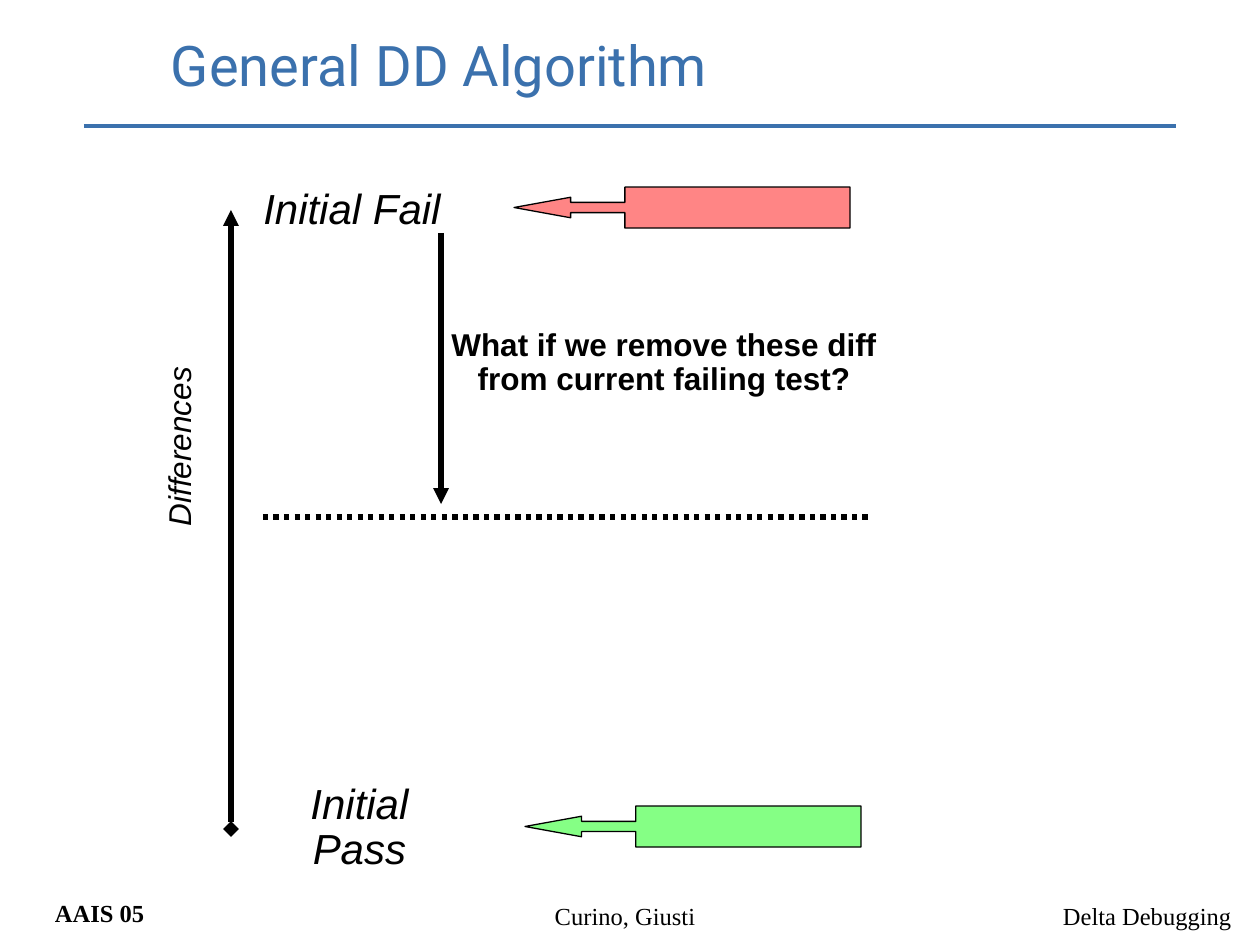
from dataclasses import dataclass
from typing import Optional

from lxml.etree import SubElement
from pptx import Presentation
from pptx.dml.color import RGBColor as RGB
from pptx.enum.dml import MSO_LINE as Dash
from pptx.enum.shapes import MSO_CONNECTOR as Link, MSO_SHAPE as Kind
from pptx.enum.text import MSO_ANCHOR as Anchor, PP_ALIGN as Align
from pptx.oxml.ns import qn
from pptx.util import Emu, Pt

DPI = 126


def px(n: int) -> Emu:
    return Emu(round(n * 914400 / DPI))


# Colours, fonts and type sizes
@dataclass(frozen=True)
class Theme:
    blue: RGB = RGB(0x3B, 0x71, 0xAD)
    black: RGB = RGB(0, 0, 0)
    red: RGB = RGB(0xFF, 0, 0)
    green: RGB = RGB(0, 0xFF, 0)
    alpha: int = 48
    head: str = "Roboto"
    sans: str = "Arial"
    serif: str = "Times New Roman"
    title: int = 32
    state: int = 24
    note: int = 18
    foot: int = 14


T = Theme()


@dataclass(frozen=True)
class Label:
    text: str
    box: tuple[int, int, int, int]
    size: int
    font: str = T.sans
    color: RGB = T.black
    bold: bool = False
    slant: bool = False
    align: Align = Align.CENTER
    anchor: Anchor = Anchor.MIDDLE
    pad: tuple[int, int] = (0, 0)
    wrap: bool = False
    space: float = 0.9
    turn: int = 0


@dataclass(frozen=True)
class Rule:
    start: tuple[int, int]
    end: tuple[int, int]
    width: int = 3
    color: RGB = T.black
    dash: Optional[Dash] = None
    head: str = ""
    tail: str = ""


@dataclass(frozen=True)
class Callout:
    left: int
    top: int
    color: RGB


def footer(text: str, left: int, top: int, width: int,
           align: Align = Align.LEFT, bold: bool = False) -> Label:
    return Label(text, (left, top, width, 62), T.foot, T.serif, bold=bold,
                 align=align, anchor=Anchor.TOP, pad=(13, 6), wrap=True, space=1.0)


LABELS = [
    footer("Delta Debugging", 1050, 895, 262),
    footer("AAIS 05", 42, 892, 262, bold=True),
    footer("Curino, Giusti", 231, 895, 788, Align.CENTER),
    Label("General DD Algorithm", (158, 10, 914, 116), T.title, T.head, T.blue,
          align=Align.LEFT, pad=(13, 6), wrap=True),
    Label("Initial Fail", (263, 188, 178, 45), T.state, slant=True),
    Label("Initial Pass", (258, 806, 203, 45), T.state, slant=True),
    Label("Differences", (101, 430, 160, 34), T.note, slant=True,
          align=Align.RIGHT, turn=270),
    Label("What if we remove these diff\nfrom current failing test?",
          (451, 329, 426, 68), T.note, bold=True),
]

RULES = [
    Rule((84, 126), (1176, 126), 2, T.blue),
    Rule((231, 210), (231, 829), head="triangle", tail="diamond"),
    Rule((263, 517), (872, 517), dash=Dash.ROUND_DOT),
    Rule((441, 233), (441, 504), tail="triangle"),
]

CALLS = [Callout(514, 187, T.red), Callout(525, 806, T.green)]


def write(slide, item: Label) -> None:
    box = slide.shapes.add_textbox(*map(px, item.box))
    box.rotation = item.turn
    frame = box.text_frame
    frame.word_wrap = item.wrap
    frame.vertical_anchor = item.anchor
    frame.margin_left = frame.margin_right = px(item.pad[0])
    frame.margin_top = frame.margin_bottom = px(item.pad[1])
    frame.text = item.text
    for para in frame.paragraphs:
        para.alignment = item.align
        para.line_spacing = item.space
        font = para.font
        font.name, font.size = item.font, Pt(item.size)
        font.bold, font.italic = item.bold, item.slant
        font.color.rgb = item.color


def rule(slide, item: Rule) -> None:
    link = slide.shapes.add_connector(
        Link.STRAIGHT, *map(px, item.start + item.end))
    line = link.line
    line.color.rgb = item.color
    line.width = Pt(item.width)
    if item.dash is not None:
        line.dash_style = item.dash
    props = link._element.spPr
    # Arrowheads, then no shadow
    for tag, kind in (("a:headEnd", item.head), ("a:tailEnd", item.tail)):
        if kind:
            SubElement(props.find(qn("a:ln")), qn(tag), type=kind)
    SubElement(props, qn("a:effectLst"))


def call(slide, item: Callout) -> None:
    shape = slide.shapes.add_shape(
        Kind.LEFT_ARROW_CALLOUT, *map(px, (item.left, item.top, 336, 41)))
    for i, value in enumerate((0.25, 0.25, 1.38, 0.67)):
        shape.adjustments[i] = value
    shape.shadow.inherit = False
    shape.fill.solid()
    shape.fill.fore_color.rgb = item.color
    tint = shape._element.spPr.find(qn("a:solidFill"))[0]
    SubElement(tint, qn("a:alpha"), val=str(T.alpha * 1000))
    shape.line.color.rgb = T.black
    shape.line.width = Pt(0.75)


def main() -> None:
    deck = Presentation()
    deck.slide_width, deck.slide_height = px(1260), px(945)
    slide = deck.slides.add_slide(deck.slide_layouts[6])
    for draw, items in ((rule, RULES), (write, LABELS), (call, CALLS)):
        for item in items:
            draw(slide, item)
    deck.save("out.pptx")


if __name__ == "__main__":
    main()
